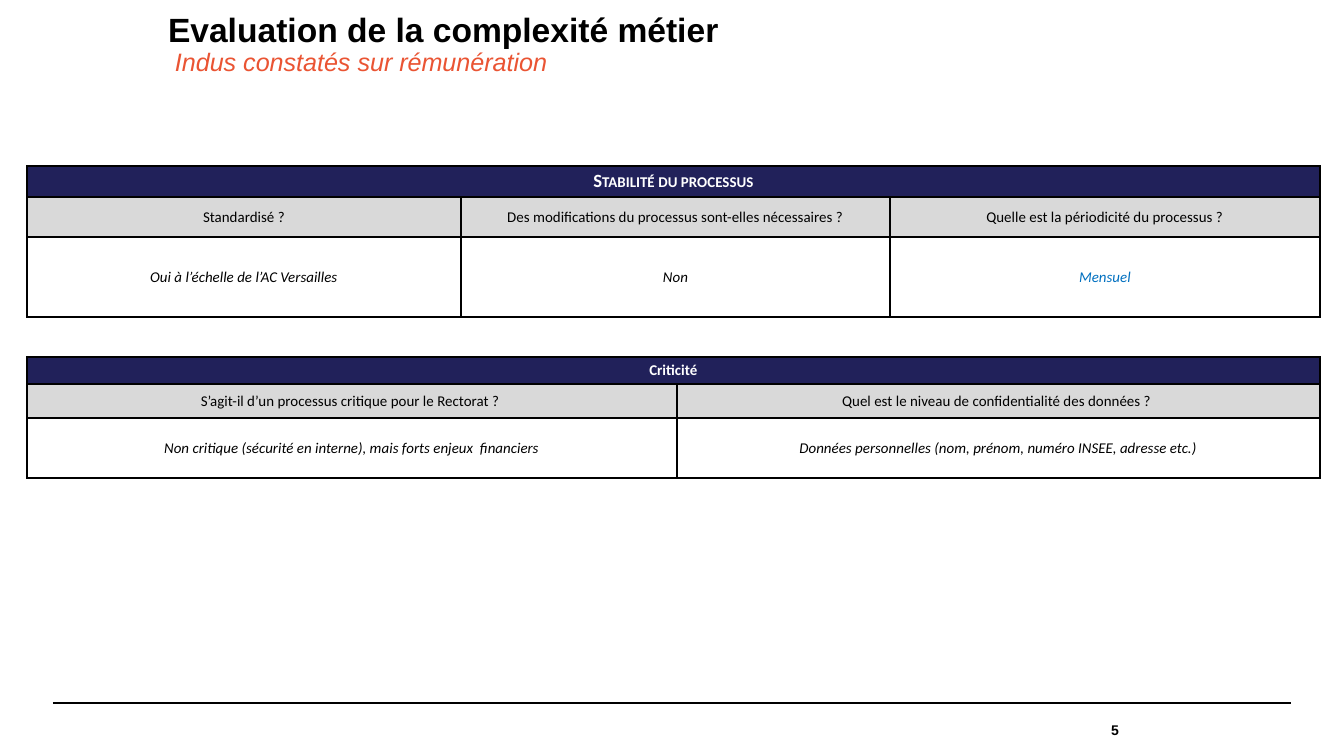
from dataclasses import dataclass

from lxml.etree import SubElement
from pptx import Presentation
from pptx.dml.color import RGBColor
from pptx.enum.shapes import MSO_CONNECTOR
from pptx.enum.text import MSO_ANCHOR, MSO_AUTO_SIZE, PP_ALIGN
from pptx.oxml.ns import qn
from pptx.util import Pt

EMU_PER_PX = 914400 / 134.4


@dataclass(frozen=True)
class Theme:
    heading_font: str = "Arial"
    table_font: str = "Calibri"
    black: str = "000000"
    white: str = "FFFFFF"
    navy: str = "21215A"
    grey: str = "D9D9D9"
    orange: str = "EA5433"
    blue: str = "0070C0"
    title_size: float = 18
    subtitle_size: float = 13.5
    number_size: float = 7.5
    caps_size: float = 10
    table_size: float = 8
    rule_width: float = 0.8
    border_width: float = 1


THEME = Theme()


def px(length):
    return round(length * EMU_PER_PX)


def style_font(font, name, size, color, bold=False, italic=False):
    font.name = name
    font.size = Pt(size)
    font.bold = bold
    font.italic = italic
    font.color.rgb = RGBColor.from_string(color)


def clear_margins(text_frame):
    text_frame.margin_left = text_frame.margin_right = 0
    text_frame.margin_top = text_frame.margin_bottom = 0
    text_frame.word_wrap = True
    text_frame.auto_size = MSO_AUTO_SIZE.NONE


def set_title(slide, title, subtitle):
    shape = slide.shapes.title
    shape.left, shape.top, shape.width, shape.height = map(px, (168, 13, 1122, 70))
    text_frame = shape.text_frame
    clear_margins(text_frame)
    text_frame.vertical_anchor = MSO_ANCHOR.TOP
    paragraph = text_frame.paragraphs[0]
    paragraph.alignment = PP_ALIGN.LEFT
    paragraph.line_spacing = 0.9
    title_run = paragraph.add_run()
    title_run.text = title
    style_font(title_run.font, THEME.heading_font, THEME.title_size, THEME.black, bold=True)
    paragraph.add_line_break()
    subtitle_run = paragraph.add_run()
    subtitle_run.text = subtitle
    style_font(subtitle_run.font, THEME.heading_font, THEME.subtitle_size, THEME.orange, italic=True)


def add_footer_rule(slide):
    line = slide.shapes.add_connector(
        MSO_CONNECTOR.STRAIGHT, px(53), px(703), px(1291), px(703))
    line.line.color.rgb = RGBColor.from_string(THEME.black)
    line.line.width = Pt(THEME.rule_width)
    SubElement(line._element.spPr, qn("a:effectLst"))


def add_page_number(slide, number):
    shape = slide.shapes.add_textbox(px(920), px(704), px(199), px(52))
    text_frame = shape.text_frame
    clear_margins(text_frame)
    text_frame.vertical_anchor = MSO_ANCHOR.MIDDLE
    paragraph = text_frame.paragraphs[0]
    paragraph.text = number
    paragraph.alignment = PP_ALIGN.RIGHT
    style_font(paragraph.font, THEME.heading_font, THEME.number_size, THEME.black, bold=True)


def add_borders(cell):
    properties = cell._tc.get_or_add_tcPr()
    for side in ("a:lnL", "a:lnR", "a:lnT", "a:lnB"):
        line = SubElement(properties, qn(side), w=str(Pt(THEME.border_width)))
        fill = SubElement(line, qn("a:solidFill"))
        SubElement(fill, qn("a:srgbClr"), val=THEME.black)


def format_cell(cell, fill):
    add_borders(cell)
    cell.fill.solid()
    cell.fill.fore_color.rgb = RGBColor.from_string(fill)
    cell.margin_left = cell.margin_right = px(4)
    cell.margin_top = cell.margin_bottom = px(4)
    cell.vertical_anchor = MSO_ANCHOR.MIDDLE


def write_cell(cell, text, size, color, bold=False, italic=False):
    paragraph = cell.text_frame.paragraphs[0]
    paragraph.text = text
    paragraph.alignment = PP_ALIGN.CENTER
    style_font(paragraph.font, THEME.table_font, size, color, bold, italic)
    return paragraph


def add_question_table(slide, top, widths, heights, heading, questions, answers,
                       heading_size=THEME.table_size, small_caps=False):
    frame = slide.shapes.add_table(
        len(heights), len(widths), px(27), px(top), px(sum(widths)), px(sum(heights)))
    table = frame.table
    table.first_row = table.horz_banding = False
    for column, width in zip(table.columns, widths):
        column.width = px(width)
    for row, height, fill in zip(table.rows, heights, (THEME.navy, THEME.grey, THEME.white)):
        row.height = px(height)
        for cell in row.cells:
            format_cell(cell, fill)
    table.cell(0, 0).merge(table.cell(0, len(widths) - 1))
    paragraph = write_cell(table.cell(0, 0), heading, heading_size, THEME.white, bold=True)
    if small_caps:
        for run in paragraph.runs:
            run._r.get_or_add_rPr().set("cap", "small")
    for index, (question, (answer, color)) in enumerate(zip(questions, answers)):
        write_cell(table.cell(1, index), question, THEME.table_size, THEME.black)
        write_cell(table.cell(2, index), answer, THEME.table_size, color, italic=True)


def main():
    presentation = Presentation()
    presentation.slide_width, presentation.slide_height = px(1344), px(756)
    slide = presentation.slides.add_slide(presentation.slide_layouts[5])

    add_footer_rule(slide)
    set_title(slide, "Evaluation de la complexité métier", " Indus constatés sur rémunération")
    add_page_number(slide, "5")
    add_question_table(
        slide, 166, (434, 429, 430), (31, 40, 80),
        "Stabilité du processus",
        ("Standardisé ?",
         "Des modifications du processus sont-elles nécessaires ?",
         "Quelle est la périodicité du processus ?"),
        (("Oui à l’échelle de l’AC Versailles", THEME.black),
         ("Non", THEME.black),
         ("Mensuel", THEME.blue)),
        heading_size=THEME.caps_size, small_caps=True)
    add_question_table(
        slide, 357, (650, 643), (27, 34, 60),
        "Criticité",
        ("S’agit-il d’un processus critique pour le Rectorat ? ",
         "Quel est le niveau de confidentialité des données ? "),
        (("Non critique (sécurité en interne), mais forts enjeux  financiers", THEME.black),
         ("Données personnelles (nom, prénom, numéro INSEE, adresse etc.)", THEME.black)))

    presentation.save("out.pptx")


if __name__ == "__main__":
    main()
